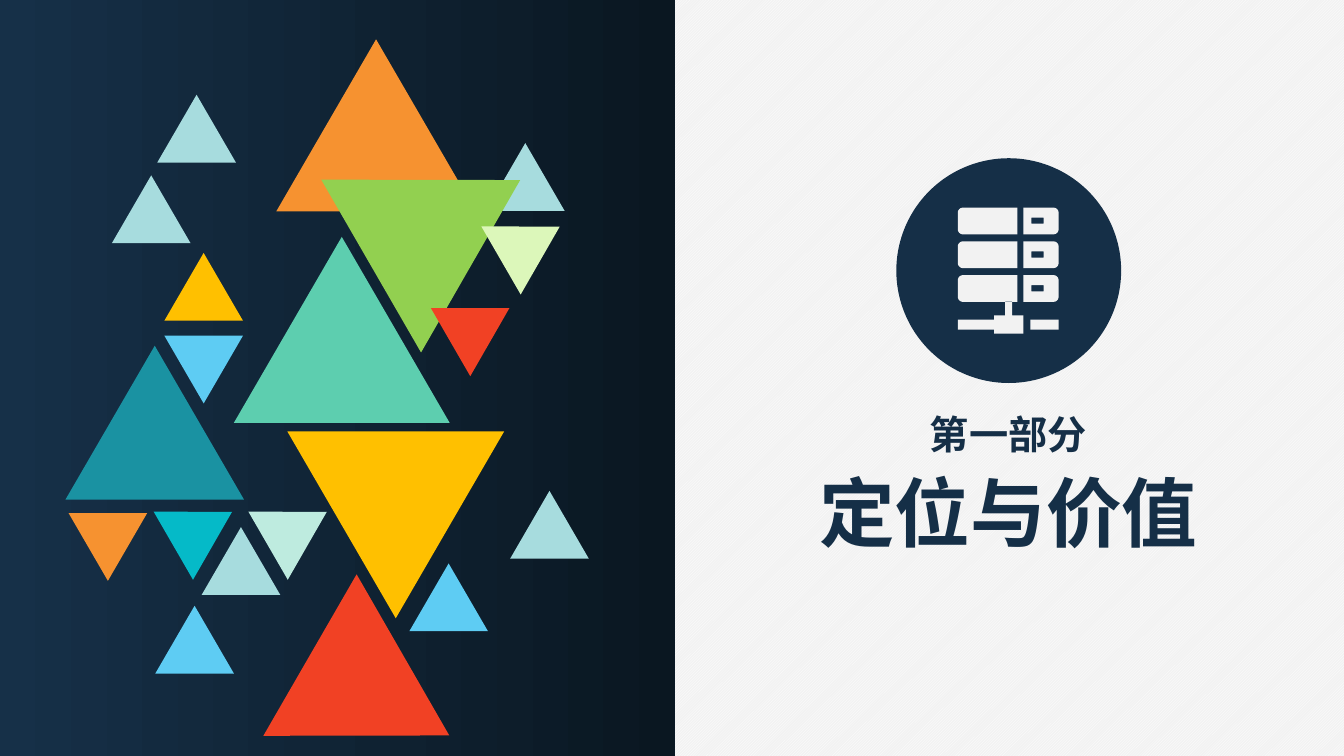
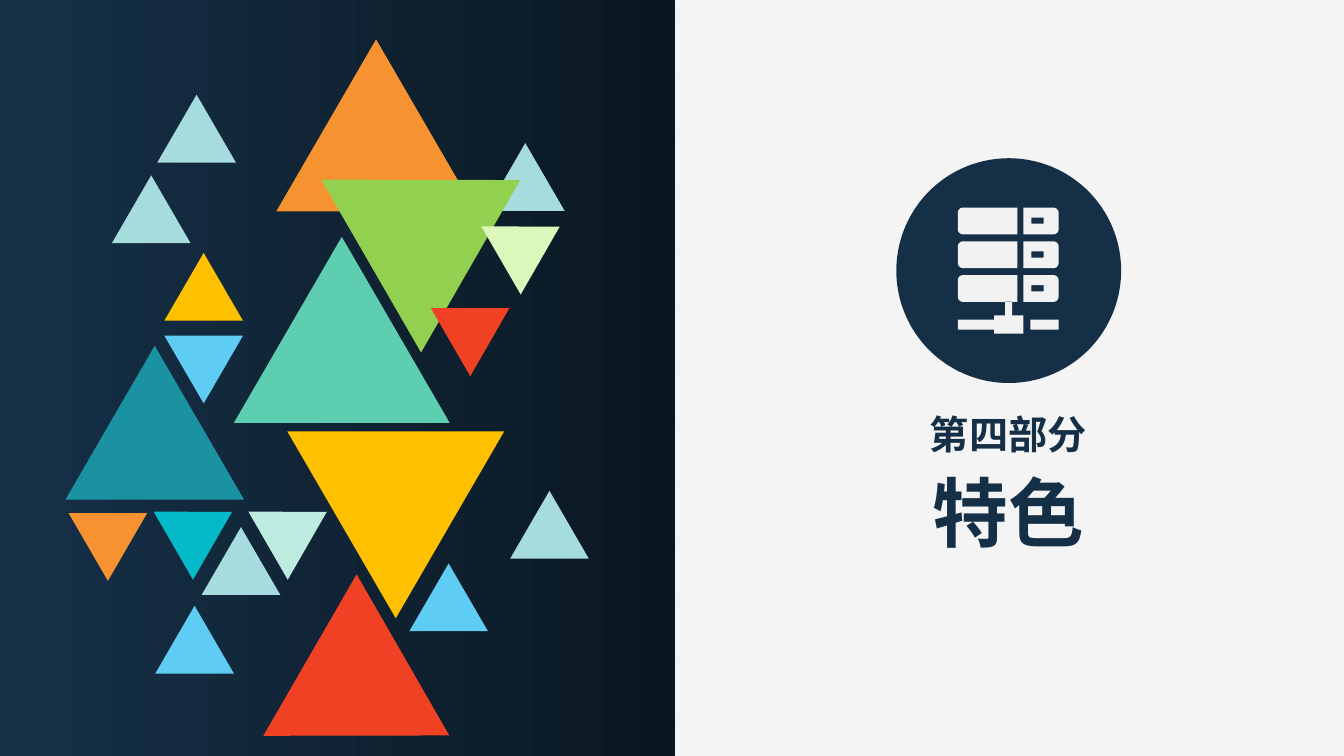
from dataclasses import dataclass
from math import cos, radians, sin

from lxml import etree
from pptx import Presentation, util as u
from pptx.dml.color import RGBColor
from pptx.enum import dml, shapes, text
from pptx.oxml.ns import qn
from pptx.shapes.autoshape import Shape
from pptx.slide import Slide, SlideLayout

FONT = "Noto Sans CJK SC"
WHITE = RGBColor(0xFF, 0xFF, 0xFF)
PALE = RGBColor(0xF2, 0xF2, 0xF2)
NAVY = RGBColor(0x15, 0x2F, 0x47)
DUSK = RGBColor(0x16, 0x30, 0x48)
NIGHT = RGBColor(0x0A, 0x17, 0x21)
MIST = RGBColor(0xA7, 0xDC, 0xDE)
MINT = RGBColor(0xBE, 0xEB, 0xDF)
JADE = RGBColor(0x5D, 0xCE, 0xAF)
TEAL = RGBColor(0x1A, 0x92, 0xA2)
SKY = RGBColor(0x5E, 0xCC, 0xF3)
AQUA = RGBColor(0x05, 0xBA, 0xC8)
AMBER = RGBColor(0xF6, 0x92, 0x30)
GREEN = RGBColor(0x92, 0xD0, 0x50)
LIME = RGBColor(0xDC, 0xF7, 0xBA)
GOLD = RGBColor(0xFF, 0xC0, 0x00)
RED = RGBColor(0xF1, 0x41, 0x24)

Point = tuple[float, float]
SMALL = 0.78
RATIO = 0.862  # height to width of each triangle


@dataclass(frozen=True)
class Tri:
    left: float
    top: float
    fill: RGBColor
    width: float = SMALL
    turn: int = 0


@dataclass(frozen=True)
class Part:
    label: str
    title: str


TRIS = [
    Tri(1.11, 1.74, MIST),
    Tri(4.82, 1.42, MIST),
    Tri(2.56, 4.91, MINT, turn=60),
    Tri(2.32, 2.35, JADE, 2.14),
    Tri(0.65, 3.43, TEAL, 1.77),
    Tri(2.0, 5.23, MIST),
    Tri(1.54, 6.01, SKY),
    Tri(2.74, 0.39, AMBER, 1.98),
    Tri(1.56, 0.94, MIST),
    Tri(3.43, 1.36, GREEN, 1.98, 60),
    Tri(4.87, 2.08, LIME, turn=60),
    Tri(1.62, 4.91, AQUA, turn=60),
    Tri(0.68, 5.09, AMBER, turn=180),
    Tri(1.63, 2.51, GOLD),
    Tri(1.63, 3.33, SKY, turn=180),
    Tri(4.37, 2.89, RED, turn=60),
    Tri(2.84, 6.1, RED, 1.85, 120),
    Tri(5.06, 4.87, MIST),
    Tri(2.85, 4.28, GOLD, 2.15, 180),
    Tri(4.06, 5.59, SKY),
]
PARTS = [Part("第一部分", "定位与价值"), Part("第四部分", "特色")]


def paint(shape: Shape, fill: RGBColor) -> None:
    shape.shadow.inherit = False
    shape.fill.solid()
    shape.fill.fore_color.rgb = fill
    shape.line.fill.background()


def place(shape: Shape, left: float, top: float, width: float, height: float) -> None:
    shape.left, shape.top = u.Inches(left), u.Inches(top)
    shape.width, shape.height = u.Inches(width), u.Inches(height)


# Shared background, band and text places
def dress(layout: SlideLayout, slide: Slide) -> None:
    back = layout.background.fill
    back.patterned()
    back.pattern = dml.MSO_PATTERN.LIGHT_UPWARD_DIAGONAL
    back.fore_color.rgb, back.back_color.rgb = WHITE, PALE

    band = slide.shapes.add_shape(
        shapes.MSO_SHAPE.RECTANGLE, 0, 0, u.Inches(6.69), u.Inches(7.5))
    paint(band, DUSK)
    band.fill.gradient()
    band.fill.gradient_angle = 0
    for stop, color in zip(band.fill.gradient_stops, (DUSK, NIGHT)):
        stop.color.rgb = color
    layout.shapes.element.append(band.element)

    title, label = layout.placeholders[0], layout.placeholders[1]
    place(title, 7.5, 4.47, 5, 1.2)
    place(label, 8.5, 3.95, 3, 0.7)


def write(shape: Shape, words: str, size: int) -> None:
    frame = shape.text_frame
    frame.text = words
    frame.word_wrap = True
    frame.auto_size = text.MSO_AUTO_SIZE.NONE
    frame.vertical_anchor = text.MSO_ANCHOR.MIDDLE
    frame.margin_top = frame.margin_bottom = 0
    para = frame.paragraphs[0]
    para.alignment = text.PP_ALIGN.CENTER
    para.space_before = u.Pt(0)
    font = para.runs[0].font
    font.name, font.size, font.bold = FONT, u.Pt(size), True
    font.color.rgb = NAVY
    for props in shape.element.iter(qn("a:rPr")):
        etree.SubElement(props, qn("a:ea")).set("typeface", FONT)


# Server icon outlines
def box(left: float, top: float, right: float, low: float) -> list[Point]:
    return [(left, top), (right, top), (right, low), (left, low)]


def cell(inner: float, outer: float, top: float) -> list[Point]:
    """Half a server bay, rounded on its outer side."""
    tall, radius = 0.265, 0.05
    side = 1 if outer > inner else -1
    arc = [(radius * sin(radians(a)), radius * cos(radians(a)))
           for a in range(0, 91, 15)]
    mid = outer - side * radius
    upper = [(mid + side * x, top + radius - y) for x, y in arc]
    lower = [(x, 2 * top + tall - y) for x, y in reversed(upper)]
    return [(inner, top), *upper, *lower, (inner, top + tall)]


def outlines() -> list[list[Point]]:
    paths = []
    for row in range(3):
        top = 2.06 + 0.335 * row
        slot = top + 0.1
        paths += [cell(10.09, 9.5, top), cell(10.15, 10.5, top),
                  box(10.23, slot, 10.35, slot + 0.06)]
    plug = [(9.5, 3.17), (9.86, 3.17), (9.86, 3.13), (9.97, 3.13),
            (9.97, 2.99), (10.04, 2.99), (10.04, 3.13), (10.15, 3.13),
            (10.15, 3.31), (9.86, 3.31), (9.86, 3.27), (9.5, 3.27)]
    return [*paths, plug, box(10.22, 3.17, 10.5, 3.27)]


def badge(slide: Slide) -> None:
    group = slide.shapes.add_group_shape()
    disc = group.shapes.add_shape(
        shapes.MSO_SHAPE.OVAL, u.Inches(8.89), u.Inches(1.57),
        u.Inches(2.23), u.Inches(2.23))
    paint(disc, NAVY)
    unit = 1000
    paths = [[(x * unit, y * unit) for x, y in path] for path in outlines()]
    pen = group.shapes.build_freeform(*paths[0][0], scale=u.Inches(1) / unit)
    for num, path in enumerate(paths):
        if num:
            pen.move_to(*path[0])
        pen.add_line_segments(path[1:], close=True)
    paint(pen.convert_to_shape(), PALE)


def draw(slide: Slide, tri: Tri) -> None:
    shape = slide.shapes.add_shape(
        shapes.MSO_SHAPE.ISOSCELES_TRIANGLE, u.Inches(tri.left),
        u.Inches(tri.top), u.Inches(tri.width), u.Inches(tri.width * RATIO))
    shape.rotation = tri.turn
    paint(shape, tri.fill)


def main() -> None:
    deck = Presentation()
    deck.slide_width, deck.slide_height = u.Inches(13.33), u.Inches(7.5)
    layout = deck.slide_layouts[0]
    for num, part in enumerate(PARTS):
        slide = deck.slides.add_slide(layout)
        if num == 0:
            dress(layout, slide)
        write(slide.shapes.title, part.title, 54)
        write(slide.placeholders[1], part.label, 28)
        badge(slide)
        for tri in TRIS:
            draw(slide, tri)
    deck.save("out.pptx")


if __name__ == "__main__":
    main()
